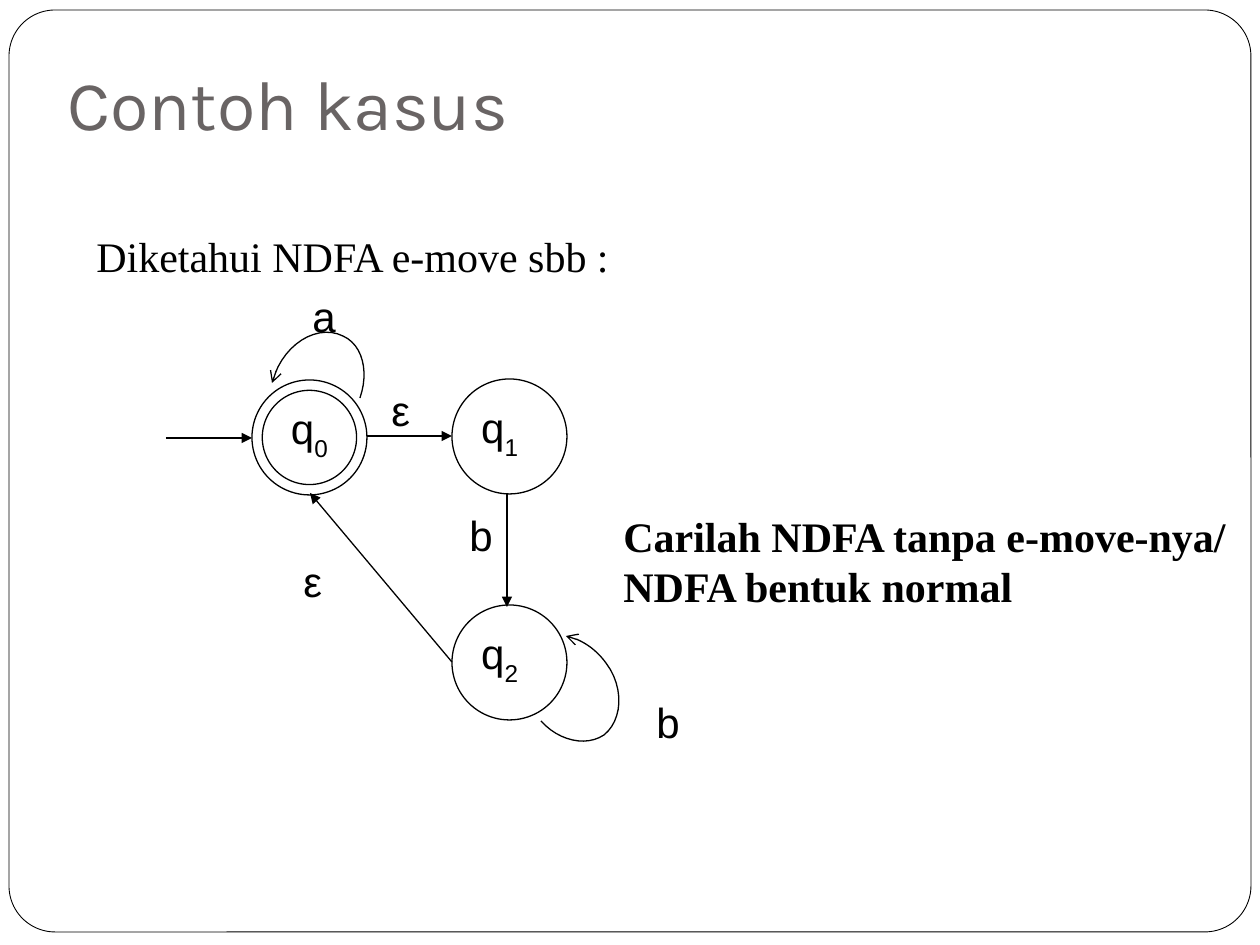
from pptx import Presentation
from pptx.dml.color import RGBColor
from pptx.enum.shapes import MSO_CONNECTOR as Connector, MSO_SHAPE as Shape
from pptx.enum.text import MSO_ANCHOR as Anchor, MSO_AUTO_SIZE as AutoSize, PP_ALIGN as Align
from pptx.oxml.ns import qn
from pptx.util import Emu, Pt
from lxml.etree import SubElement

COLORS = {"ink": "000000", "paper": "FFFFFF", "title": "696464"}
PX_PER_INCH = 126
STATE_SIZE = 115
CURVE_STEPS = 12


def px(*lengths):
    """Turn px lengths into a list of EMU."""
    return [Emu(round(length * 914400 / PX_PER_INCH)) for length in lengths]


def color(name):
    """Look up a colour by its name."""
    return RGBColor.from_string(COLORS[name])


def style_run(run, font="Arial", size=24, ink="ink", bold=False):
    """Format one run."""
    run.font.name = font
    run.font.size = Pt(size)
    run.font.bold = bold
    run.font.color.rgb = color(ink)


def style_outline(shape, width=0.75, fill="paper"):
    """Give a shape a thin black outline and a plain fill or none."""
    shape.shadow.inherit = False
    shape.line.color.rgb = color("ink")
    shape.line.width = Pt(width)
    if fill:
        shape.fill.solid()
        shape.fill.fore_color.rgb = color(fill)
    else:
        shape.fill.background()


def add_arrowhead(shape, end, kind):
    """Put an arrowhead on one end of a line."""
    line = shape.element.find(".//" + qn("a:ln"))
    SubElement(line, qn(f"a:{end}"), type=kind)


def add_title(slide, text):
    """Fill the title placeholder and draw the rounded frame behind it."""
    title = slide.shapes.title
    title.left, title.top, title.width, title.height = px(55, 0, 669, 158)
    text_frame = title.text_frame
    text_frame.text = text
    text_frame.auto_size = AutoSize.NONE
    text_frame.vertical_anchor = Anchor.BOTTOM
    text_frame.margin_bottom, = px(13)
    paragraph = text_frame.paragraphs[0]
    paragraph.alignment = Align.LEFT
    style_run(paragraph.runs[0], "Karla", 40, "title")
    frame = slide.shapes.add_shape(Shape.ROUNDED_RECTANGLE, *px(9, 10, 1242, 922))
    frame.adjustments[0] = 0.05
    style_outline(frame, 0.5)
    title.element.addprevious(frame.element)


def add_text(slide, text, box, bold=False):
    """Add unwrapped serif text."""
    text_frame = slide.shapes.add_textbox(*px(*box)).text_frame
    text_frame.word_wrap = False
    text_frame.auto_size = AutoSize.SHAPE_TO_FIT_TEXT
    text_frame.text = text
    for paragraph in text_frame.paragraphs:
        style_run(paragraph.runs[0], "Times New Roman", bold=bold)


def add_label(slide, text, left, top, alignment=Align.CENTER):
    """Add the symbol of one transition."""
    text_frame = slide.shapes.add_textbox(*px(left, top, 86, 58)).text_frame
    text_frame.word_wrap = True
    text_frame.text = text
    paragraph = text_frame.paragraphs[0]
    paragraph.alignment = alignment
    style_run(paragraph.runs[0])


def add_state(slide, index, left, top, preset=Shape.FLOWCHART_CONNECTOR, alignment=Align.LEFT):
    """Add a state circle named q with a subscript index."""
    state = slide.shapes.add_shape(preset, *px(left, top, STATE_SIZE, STATE_SIZE))
    style_outline(state)
    if preset == Shape.DONUT:
        state.adjustments[0] = 0.09
    state.text_frame.vertical_anchor = Anchor.TOP
    paragraph = state.text_frame.paragraphs[0]
    paragraph.text = "q"
    paragraph.alignment = alignment
    subscript = paragraph.add_run()
    subscript.text = index
    for run in paragraph.runs:
        style_run(run)
    subscript.font._element.set("baseline", "-30000")


def add_transition(slide, start, end):
    """Add a straight arrow between two points."""
    arrow = slide.shapes.add_connector(Connector.STRAIGHT, *px(*start, *end))
    arrow.line.color.rgb = color("ink")
    arrow.line.width = Pt(0.75)
    add_arrowhead(arrow, "tailEnd", "triangle")
    SubElement(arrow.element.spPr, qn("a:effectLst"))


def curve_point(controls, t):
    """Return the point at t on a cubic curve."""
    weights = ((1 - t) ** 3, 3 * t * (1 - t) ** 2, 3 * t ** 2 * (1 - t), t ** 3)
    return [sum(w * point[axis] for w, point in zip(weights, controls)) for axis in (0, 1)]


def add_loop(slide, controls):
    """Add a self-loop through chained cubic curves, with the arrow at its start."""
    points = [
        px(*curve_point(controls[first:first + 4], step / CURVE_STEPS))
        for first in range(0, len(controls) - 1, 3)
        for step in range(1, CURVE_STEPS + 1)
    ]
    builder = slide.shapes.build_freeform(*px(*controls[0]), scale=1.0)
    builder.add_line_segments(points, close=False)
    loop = builder.convert_to_shape()
    style_outline(loop, fill=None)
    add_arrowhead(loop, "headEnd", "arrow")


def main():
    """Build the slide."""
    presentation = Presentation()
    presentation.slide_width, presentation.slide_height = px(1260, 945)
    slide = presentation.slides.add_slide(presentation.slide_layouts[5])
    add_title(slide, "Contoh kasus")
    add_text(slide, "Diketahui NDFA e-move sbb :", (84, 224, 553, 63))

    add_state(slide, "0", 252, 380, Shape.DONUT, Align.CENTER)
    add_state(slide, "1", 452, 379)
    add_state(slide, "2", 452, 605)
    for start, end in (
        ((166, 438), (252, 438)),
        ((367, 436), (452, 436)),
        ((507, 493), (507, 607)),
        ((452, 662), (310, 493)),
    ):
        add_transition(slide, start, end)
    add_loop(slide, [(566, 636), (581, 639), (596, 649), (606, 663), (625, 688),
                     (622, 721), (604, 735), (586, 747), (559, 741), (541, 721)])
    add_loop(slide, [(272, 383), (273, 377), (276, 372), (278, 367), (292, 339),
                     (321, 325), (343, 336), (363, 345), (369, 372), (360, 398)])

    add_label(slide, "a", 281, 284)
    add_label(slide, "b", 625, 690)
    add_label(slide, "b", 438, 503)
    add_label(slide, "ε", 291, 549, Align.LEFT)
    add_label(slide, "ε", 379, 378, Align.LEFT)
    add_text(slide, "Carilah NDFA tanpa e-move-nya/\nNDFA bentuk normal", (611, 504, 643, 113), bold=True)
    presentation.save("out.pptx")


if __name__ == "__main__":
    main()
